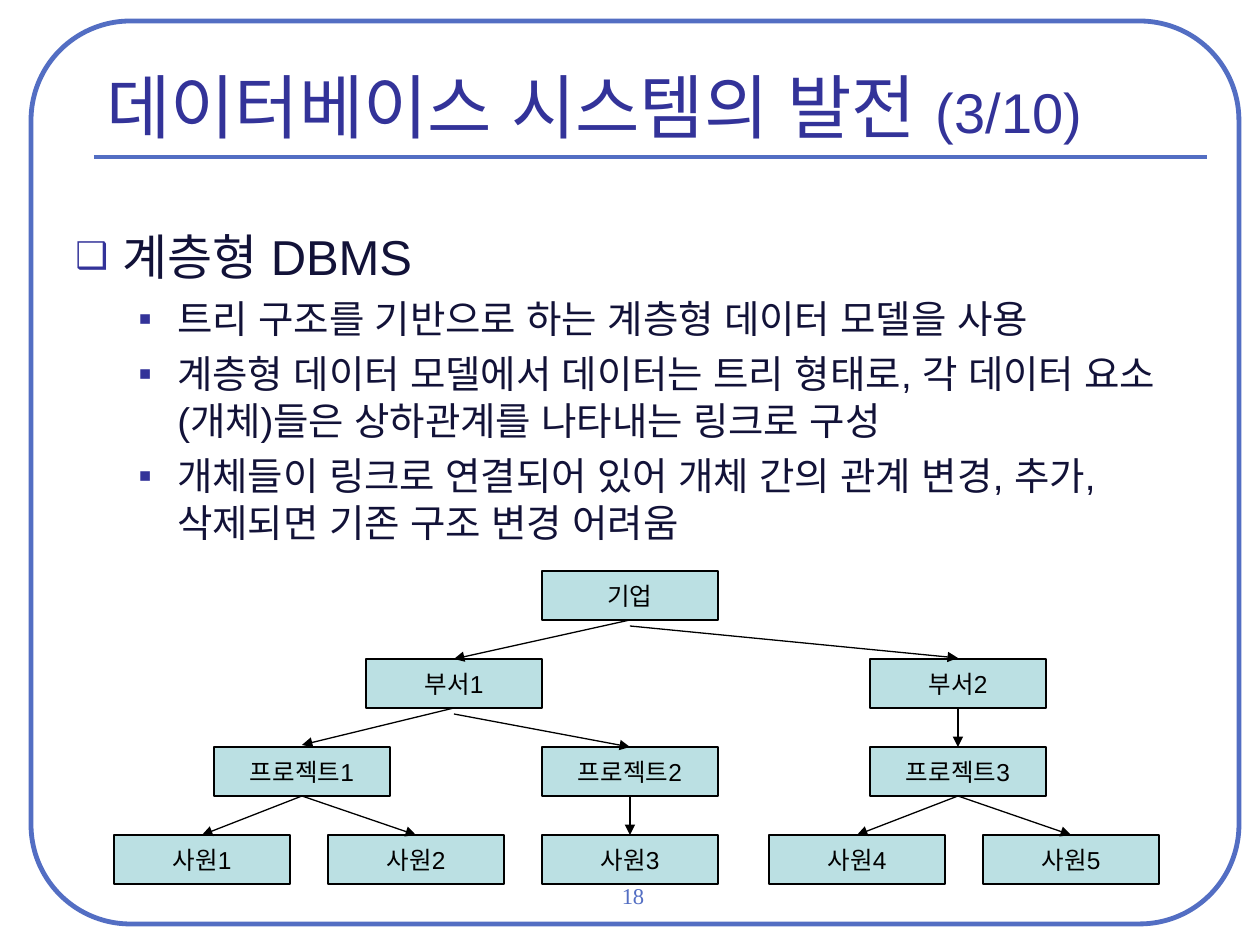
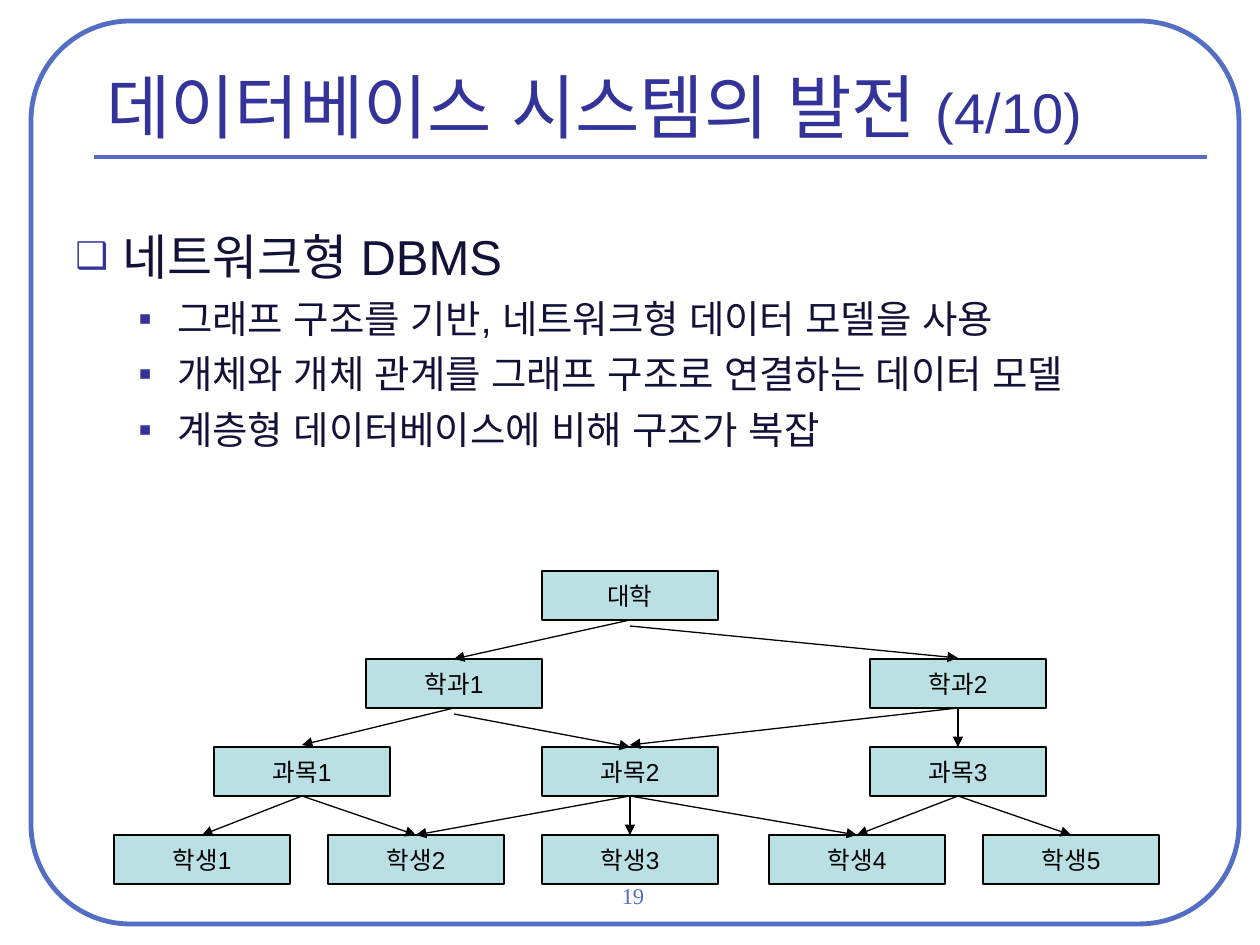
from lxml import etree
from pptx import Presentation
from pptx import util as u
from pptx.dml.color import RGBColor
from pptx.enum import shapes, text
from pptx.oxml.ns import qn

NAVY = RGBColor(0x33, 0x33, 0x99)
BLUE = RGBColor(0x53, 0x6E, 0xC3)
INK = RGBColor(0x12, 0x12, 0x38)
AQUA = RGBColor(0xBB, 0xE0, 0xE3)
BLACK = RGBColor(0, 0, 0)
PX = 914400 // 126

TITLE = "데이터베이스 시스템의 발전 "

# Arrows: row of the parent, parent, child, gap at the tail, gap at the head
TREE = [
    (0, 0, 0, 0, 0), (0, 0, 1, 6, 1),
    (1, 0, 0, 0, 2), (1, 0, 1, 6, 0), (1, 1, 2, 0, 0),
    (2, 0, 0, 0, 0), (2, 0, 1, 0, 0), (2, 1, 2, 0, 0),
    (2, 2, 3, 0, 0), (2, 2, 4, 0, 0),
]
EXTRA = [(1, 1, 1, 0, 2), (2, 1, 1, 0, 0), (2, 1, 3, 0, 0)]

PAGES = [
    dict(
        page="18", part="(3/10)", head="계층형 DBMS",
        points=[
            "트리 구조를 기반으로 하는 계층형 데이터 모델을 사용",
            "계층형 데이터 모델에서 데이터는 트리 형태로, 각 데이터 요소"
            "(개체)들은 상하관계를 나타내는 링크로 구성",
            "개체들이 링크로 연결되어 있어 개체 간의 관계 변경, 추가, "
            "삭제되면 기존 구조 변경 어려움",
        ],
        names=["기업", "부서", "프로젝트", "사원"], links=TREE,
    ),
    dict(
        page="19", part="(4/10)", head="네트워크형 DBMS",
        points=[
            "그래프 구조를 기반, 네트워크형 데이터 모델을 사용",
            "개체와 개체 관계를 그래프 구조로 연결하는 데이터 모델",
            "계층형 데이터베이스에 비해 구조가 복잡",
        ],
        names=["대학", "학과", "과목", "학생"], links=TREE + EXTRA,
    ),
]

# Box centres of each row of the diagram
ROWS = [[630], [454, 958], [302, 630, 958], [202, 416, 630, 857, 1071]]
TOP, STEP, WIDE, HIGH = 571, 88, 176, 49


def px(*vals):
    """Turn pixels into EMU."""
    return [round(v * PX) for v in vals]


def write(para, words, size, color, font="Arial", align=None):
    """Add one formatted run to a paragraph."""
    run = para.add_run()
    run.text = words
    run.font.size = u.Pt(size)
    run.font.name = font
    run.font.color.rgb = color
    east = etree.SubElement(run.font._element, qn("a:ea"))
    east.set("typeface", font)
    if align is not None:
        para.alignment = align


def field(slide, *box, anchor=text.MSO_ANCHOR.TOP):
    """Add a wrapping text box and return its frame."""
    frame = slide.shapes.add_textbox(*px(*box)).text_frame
    frame.word_wrap = True
    frame.vertical_anchor = anchor
    return frame


def bullet(para, mark, left, hang, gap, scale=100):
    """Give a paragraph a navy bullet, a hanging indent and a gap above."""
    para.space_before = u.Pt(gap)
    props = para._p.get_or_add_pPr()
    props.set("marL", str(left * PX))
    props.set("indent", str(-hang * PX))
    tint = etree.SubElement(props, qn("a:buClr"))
    etree.SubElement(tint, qn("a:srgbClr")).set("val", str(NAVY))
    etree.SubElement(props, qn("a:buSzPct")).set("val", str(scale * 1000))
    etree.SubElement(props, qn("a:buFont")).set("typeface", "Arial")
    etree.SubElement(props, qn("a:buChar")).set("char", mark)


def line(slide, *ends, color=BLACK, width=0.74, arrow=False):
    """Draw a straight line, with an arrowhead at its end if asked."""
    link = slide.shapes.add_connector(shapes.MSO_CONNECTOR.STRAIGHT, *px(*ends))
    link.line.color.rgb = color
    link.line.width = u.Pt(width)
    if arrow:
        tip = etree.SubElement(link.line._get_or_add_ln(), qn("a:tailEnd"))
        tip.set("type", "triangle")
    etree.SubElement(link._element.spPr, qn("a:effectLst"))


def block(slide, kind, *box, color=BLACK, width=0.74, fill=None):
    """Draw a preset shape with an outline and, if given, a fill."""
    shape = slide.shapes.add_shape(kind, *px(*box))
    shape.shadow.inherit = False
    shape.line.color.rgb = color
    shape.line.width = u.Pt(width)
    if fill is None:
        shape.fill.background()
    else:
        shape.fill.solid()
        shape.fill.fore_color.rgb = fill
    return shape


def frame(slide, page, part):
    """Draw the border, rule, page number and title of a slide."""
    edge = block(slide, shapes.MSO_SHAPE.ROUNDED_RECTANGLE,
                 31, 21, 1208, 903, color=BLUE, width=2.75)
    edge.adjustments[0] = 0.11
    line(slide, 94, 157, 1207, 157, color=BLUE, width=2.75)
    para = field(slide, 491, 879, 284, 42).paragraphs[0]
    para.line_spacing = 0.9
    write(para, page, 12.9, BLUE, font="Times New Roman",
          align=text.PP_ALIGN.CENTER)
    para = field(slide, 94, 53, 1103, 105,
                 anchor=text.MSO_ANCHOR.MIDDLE).paragraphs[0]
    write(para, TITLE, 40, NAVY)
    write(para, part, 32, NAVY)


def body(slide, head, points):
    """Write the heading and its bullet points."""
    area = field(slide, 63, 220, 1134, 624)
    para = area.paragraphs[0]
    bullet(para, "❑", 47, 47, 7, scale=75)
    write(para, head, 28, INK)
    for point in points:
        para = area.add_paragraph()
        para.level = 1
        bullet(para, "▪", 102, 39, 5.5)
        write(para, point, 22, INK)


def graph(slide, names, links):
    """Draw the rows of numbered boxes and the arrows between them."""
    for row, (name, mids) in enumerate(zip(names, ROWS)):
        for num, mid in enumerate(mids, 1):
            box = block(slide, shapes.MSO_SHAPE.RECTANGLE, mid - WIDE / 2,
                        TOP + row * STEP, WIDE, HIGH, fill=AQUA)
            box.text_frame.word_wrap = False
            box.text_frame.vertical_anchor = text.MSO_ANCHOR.MIDDLE
            label = f"{name}{num}" if len(mids) > 1 else name
            write(box.text_frame.paragraphs[0], label, 14, BLACK,
                  align=text.PP_ALIGN.CENTER)
    for row, start, end, drop, lift in links:
        top = TOP + row * STEP
        line(slide, ROWS[row][start], top + HIGH + drop,
             ROWS[row + 1][end], top + STEP - lift, arrow=True)


deck = Presentation()
deck.slide_width, deck.slide_height = px(1260, 945)
for item in PAGES:
    slide = deck.slides.add_slide(deck.slide_layouts[6])
    frame(slide, item["page"], item["part"])
    body(slide, item["head"], item["points"])
    graph(slide, item["names"], item["links"])
deck.save("out.pptx")
